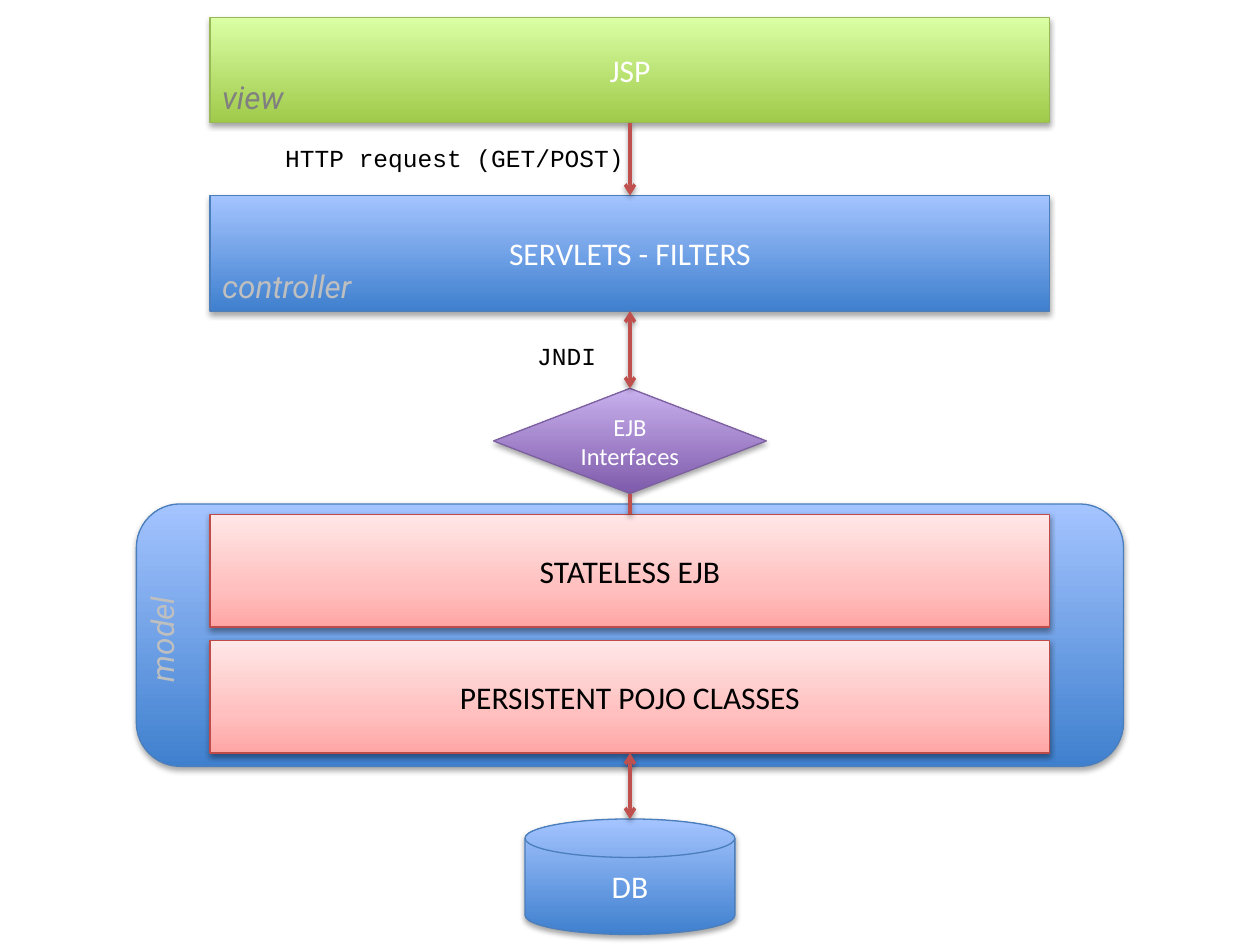
from copy import deepcopy
from lxml.etree import SubElement
from pptx import Presentation
from pptx.dml.color import RGBColor
from pptx.enum.shapes import MSO_CONNECTOR, MSO_SHAPE
from pptx.enum.text import MSO_ANCHOR, PP_ALIGN
from pptx.oxml.ns import qn
from pptx.util import Cm, Pt

BLACK = RGBColor(0, 0, 0)
WHITE = RGBColor(255, 255, 255)
GRAY = RGBColor(0x80, 0x80, 0x80)
SILVER = RGBColor(0xBF, 0xBF, 0xBF)
RED = RGBColor(0xC0, 0x50, 0x4D)
BLUE_LINE = RGBColor(0x4B, 0x7E, 0xBC)
PINK_LINE = RGBColor(0xBF, 0x4C, 0x48)
GREEN_LINE = RGBColor(0x98, 0xB9, 0x55)
PURPLE_LINE = RGBColor(0x7D, 0x60, 0xA0)
BLUE = [(0, RGBColor(0x3F, 0x80, 0xCE)), (1, RGBColor(0xA4, 0xC4, 0xFF))]
GREEN = [(0, RGBColor(0xA0, 0xCA, 0x4A)), (1, RGBColor(0xDA, 0xFF, 0xA5))]
PURPLE = [(0, RGBColor(0x7F, 0x5B, 0xAB)), (1, RGBColor(0xC8, 0xB0, 0xED))]
PINK = [(0, RGBColor(0xFF, 0xA6, 0xA5)), (0.35, RGBColor(0xFF, 0xC0, 0xBF)),
        (1, RGBColor(0xFF, 0xE7, 0xE7))]


def add_shadow(s, alpha, dist):
    spPr = s._element.spPr
    effects = spPr.find(qn("a:effectLst"))
    if effects is None:
        effects = SubElement(spPr, qn("a:effectLst"))
    shadow = SubElement(effects, qn("a:outerShdw"), blurRad=str(Pt(3.15)),
                        dist=str(Pt(dist)), dir="5400000", rotWithShape="0")
    color = SubElement(shadow, qn("a:srgbClr"), val="000000")
    SubElement(color, qn("a:alpha"), val=str(alpha * 1000))


def write(s, text, font, size, color, italic=False):
    tf = s.text_frame
    tf.word_wrap = True
    p = tf.paragraphs[0]
    p.text = text
    p.font.name = font
    p.font.size = Pt(size)
    p.font.color.rgb = color
    p.font.italic = italic
    return tf, p


prs = Presentation()
prs.slide_width, prs.slide_height = Cm(25.4), Cm(19.05)
slide = prs.slides.add_slide(prs.slide_layouts[6])
shapes = slide.shapes

LEFT, WIDTH, CENTER = 4.23, 16.93, 12.7
RECT = MSO_SHAPE.RECTANGLE
boxes = [
    (MSO_SHAPE.ROUNDED_RECTANGLE, 10.16, 19.9, 5.29, BLUE, BLUE_LINE, "", 18, WHITE),
    (RECT, 12.91, WIDTH, 2.27, PINK, PINK_LINE, "PERSISTENT POJO CLASSES", 18, BLACK),
    (RECT, 10.37, WIDTH, 2.27, PINK, PINK_LINE, "STATELESS EJB", 18, BLACK),
    (RECT, 3.94, WIDTH, 2.33, BLUE, BLUE_LINE, "SERVLETS - FILTERS", 18, WHITE),
    (RECT, 0.35, WIDTH, 2.12, GREEN, GREEN_LINE, "JSP", 18, WHITE),
    (MSO_SHAPE.DIAMOND, 7.83, 5.5, 2.12, PURPLE, PURPLE_LINE, "EJB Interfaces", 14, WHITE),
    (MSO_SHAPE.FLOWCHART_MAGNETIC_DISK, 16.51, 4.23, 2.33, BLUE, BLUE_LINE, "DB", 18, WHITE),
]
for kind, top, width, height, stops, line, text, size, color in boxes:
    s = shapes.add_shape(kind, Cm(CENTER - width / 2), Cm(top), Cm(width), Cm(height))
    s.fill.gradient()
    s.fill.gradient_angle = 90
    gs_list = s._element.spPr.find(".//" + qn("a:gsLst"))
    for _ in stops[2:]:
        gs_list.insert(1, deepcopy(gs_list[0]))
    for stop, (position, stop_color) in zip(s.fill.gradient_stops, stops):
        stop.position = position
        stop.color.rgb = stop_color
    s.line.color.rgb = line
    s.line.width = Pt(0.75)
    s.shadow.inherit = False
    if stops is PINK:
        add_shadow(s, 38, 1.57)
    else:
        add_shadow(s, 35, 1.81)
    if text:
        tf, p = write(s, text, "Calibri", size, color)
        tf.vertical_anchor = MSO_ANCHOR.MIDDLE
        p.alignment = PP_ALIGN.CENTER

arrows = [
    (9.95, 10.37, []),
    (6.27, 7.83, ["headEnd", "tailEnd"]),
    (2.47, 3.94, ["tailEnd"]),
    (15.18, 16.51, ["headEnd", "tailEnd"]),
]
for top, bottom, ends in arrows:
    s = shapes.add_connector(MSO_CONNECTOR.STRAIGHT, Cm(CENTER), Cm(top), Cm(CENTER), Cm(bottom))
    s.line.color.rgb = RED
    s.line.width = Pt(2)
    for end in ends:
        SubElement(s.line._get_or_add_ln(), qn("a:" + end), type="arrow")
    add_shadow(s, 38, 1.57)

labels = [
    ("controller", LEFT, 5.26, 4.45, 1.02, "Roboto", 18, SILVER),
    ("view", LEFT, 1.45, 4.45, 1.02, "Roboto", 18, GRAY),
    ("model", 2.75, 10.44, 1.27, 3.56, "Roboto", 18, SILVER),
    ("HTTP request (GET/POST)", 5.5, 2.75, 8.68, 0.86, "Courier New", 14, BLACK),
    ("JNDI", 10.58, 6.76, 1.7, 0.86, "Courier New", 14, BLACK),
]
for text, left, top, width, height, font, size, color in labels:
    s = shapes.add_textbox(Cm(left), Cm(top), Cm(width), Cm(height))
    tf, p = write(s, text, font, size, color, font == "Roboto")
    if height > width:
        tf._txBody.bodyPr.set("vert", "vert270")

prs.save("out.pptx")
